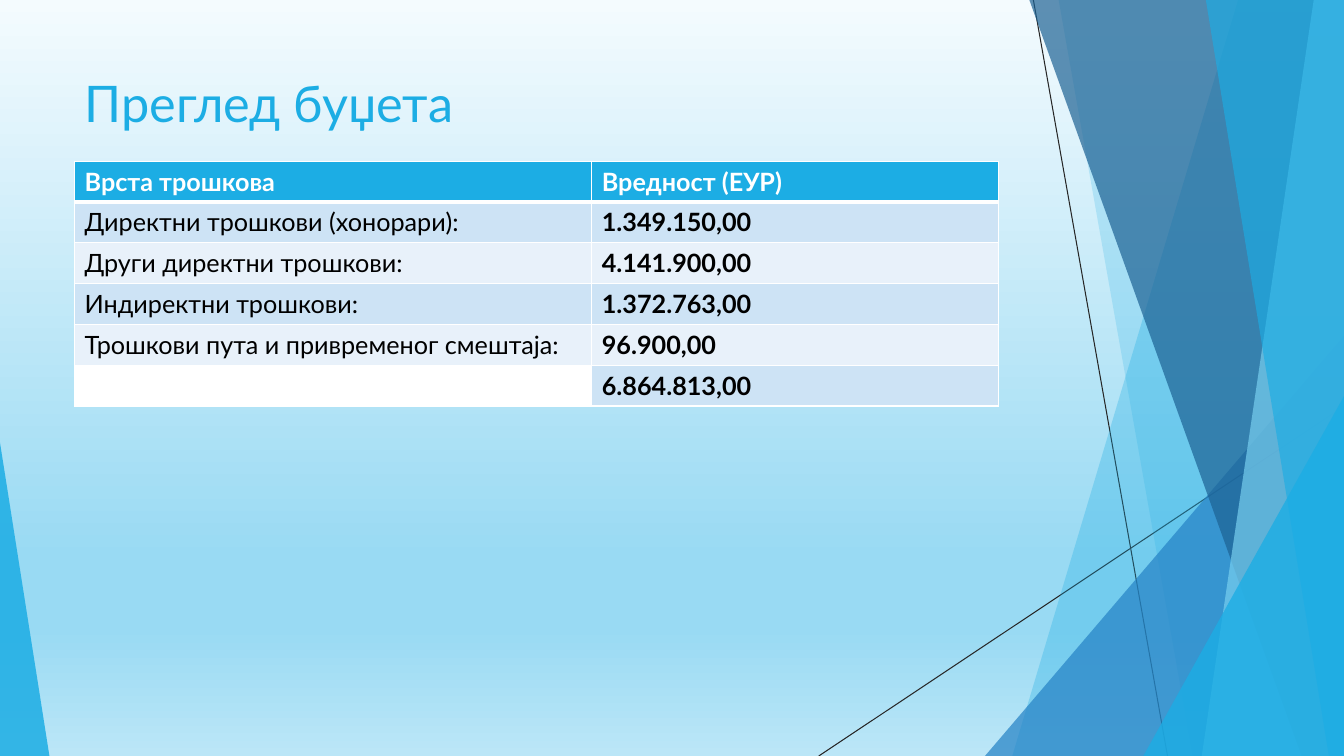
from dataclasses import dataclass

import lxml.etree
import pptx
import pptx.dml.color
import pptx.enum.shapes
import pptx.enum.text
import pptx.oxml.ns
import pptx.util

qn = pptx.oxml.ns.qn
SHAPE = pptx.enum.shapes.MSO_SHAPE


@dataclass(frozen=True)
class Theme:
    font: str = "Lato"
    title_size: int = 36
    table_size: int = 18
    accent: str = "1CADE4"
    blue: str = "2683C6"
    navy: str = "1D6294"
    pale: str = "77CEEF"
    thin: str = "262626"
    black: str = "000000"
    white: str = "FFFFFF"
    bands: tuple = ("CDE3F5", "E8F1FA")
    sky: tuple = ((0, "F4FBFE"), (74, "99DAF3"), (83, "99DAF3"), (100, "BBE6F7"))


@dataclass(frozen=True)
class Box:
    left: int
    top: int
    width: int
    height: int

    def point(self, x, y):
        return round(self.left + self.width * x / 100), round(self.top + self.height * y / 100)

    def area(self, x, y, width, height):
        left, top = self.point(x, y)
        right, bottom = self.point(x + width, y + height)
        return Box(left, top, right - left, bottom - top)

    def frame(self):
        return self.left, self.top, self.width, self.height


THEME = Theme()
HEADER = ("Врста трошкова", "Вредност (ЕУР)")
COSTS = (
    ("Директни трошкови (хонорари):", "1.349.150,00"),
    ("Други директни трошкови:", "4.141.900,00"),
    ("Индиректни трошкови:", "1.372.763,00"),
    ("Трошкови пута и привременог смештаја:", "96.900,00"),
    ("", "6.864.813,00"),
)


def rgb(color):
    return pptx.dml.color.RGBColor.from_string(color)


def set_font(p, size, color, bold=False):
    p.font.name = THEME.font
    p.font.size = pptx.util.Pt(size)
    p.font.bold = bold
    p.font.color.rgb = rgb(color)


def paint(shape, color, opacity):
    shape.shadow.inherit = False
    shape.fill.solid()
    shape.fill.fore_color.rgb = rgb(color)
    shape.line.fill.background()
    srgb = shape.fill._xPr.find(qn("a:solidFill"))[0]
    lxml.etree.SubElement(srgb, qn("a:alpha"), val=str(opacity * 1000))


def add_background(s):
    fill = s.background.fill
    fill.gradient()
    fill.gradient_angle = 270
    stops = fill._xPr.find(qn("a:gradFill")).find(qn("a:gsLst"))
    for stop in list(stops):
        stops.remove(stop)
    for position, color in THEME.sky:
        stop = lxml.etree.SubElement(stops, qn("a:gs"), pos=str(position * 1000))
        lxml.etree.SubElement(stop, qn("a:srgbClr"), val=color)


def add_thin_line(s, box, start, end):
    line = s.shapes.add_connector(
        pptx.enum.shapes.MSO_CONNECTOR.STRAIGHT, *box.point(*start), *box.point(*end)
    )
    line.line.color.rgb = rgb(THEME.thin)
    line.line.width = pptx.util.Pt(0.75)
    lxml.etree.SubElement(line._element.spPr, qn("a:effectLst"))


def add_panel(s, box, top_x, bottom_x, color, opacity):
    builder = s.shapes.build_freeform(*box.point(top_x, 0))
    corners = ((100, 0), (100, 100), (bottom_x, 100))
    builder.add_line_segments([box.point(*corner) for corner in corners])
    paint(builder.convert_to_shape(), color, opacity)


def add_corner(s, box, x, y, width, apex, color, opacity):
    corner = box.area(x, y, width, 100 - y)
    triangle = s.shapes.add_shape(SHAPE.ISOSCELES_TRIANGLE, *corner.frame())
    triangle.adjustments[0] = apex
    paint(triangle, color, opacity)


def add_facets(s, box):
    add_thin_line(s, box, (76.89, 0), (86.87, 100))
    add_thin_line(s, box, (100, 53.73), (60.92, 100))
    add_panel(s, box, 92.12, 75.32, THEME.accent, 30)
    add_panel(s, box, 78.77, 88.75, THEME.accent, 20)
    add_corner(s, box, 73.29, 44.4, 26.71, 1, THEME.blue, 72)
    add_panel(s, box, 76.59, 96.85, THEME.navy, 70)
    add_panel(s, box, 97.75, 89.42, THEME.pale, 70)
    add_panel(s, box, 89.72, 98.87, THEME.accent, 65)
    add_corner(s, box, 85.07, 52.4, 14.93, 1, THEME.accent, 80)
    add_corner(s, box, 0, 58.53, 3.68, 0, THEME.accent, 85)


def add_title(s, box, text):
    title = s.shapes.title
    s.shapes._spTree.append(title._element)
    title.left, title.top, title.width, title.height = box.frame()
    tf = title.text_frame
    tf.text = text
    tf.word_wrap = True
    tf.auto_size = pptx.enum.text.MSO_AUTO_SIZE.NONE
    tf.vertical_anchor = pptx.enum.text.MSO_ANCHOR.TOP
    p = tf.paragraphs[0]
    p.alignment = pptx.enum.text.PP_ALIGN.LEFT
    set_font(p, THEME.title_size, THEME.accent)


def set_borders(cell, widths):
    tcPr = cell._tc.get_or_add_tcPr()
    for index, (side, width) in enumerate(widths.items()):
        line = lxml.etree.Element(qn(f"a:ln{side}"), w=str(pptx.util.Pt(width)))
        fill = lxml.etree.SubElement(line, qn("a:solidFill"))
        lxml.etree.SubElement(fill, qn("a:srgbClr"), val=THEME.white)
        tcPr.insert(index, line)


def add_budget_table(s, box, header, costs):
    rows = (header, *costs)
    table = s.shapes.add_table(len(rows), len(header), *box.frame()).table
    for column, share in zip(table.columns, (0.56, 0.44)):
        column.width = round(box.width * share)
    for i, row in enumerate(rows):
        table.rows[i].height = round(box.height / len(rows))
        for j, text in enumerate(row):
            cell = table.cell(i, j)
            cell.text = text
            color = THEME.white if i == 0 else THEME.black
            set_font(cell.text_frame.paragraphs[0], THEME.table_size, color, i == 0 or j == 1)
            band = THEME.accent if i == 0 else THEME.bands[(i - 1) % 2]
            cell.fill.solid()
            cell.fill.fore_color.rgb = rgb(band if text else THEME.white)
            set_borders(cell, {"L": 1, "R": 1, "T": 3 if i == 1 else 1, "B": 3 if i == 0 else 1})


def add_budget_slide(prs, box):
    s = prs.slides.add_slide(prs.slide_layouts[5])
    add_background(s)
    add_facets(s, box)
    add_title(s, box.area(5.55, 8.93, 70.52, 19.2), "Преглед буџета")
    add_budget_table(s, box.area(5.55, 21.33, 68.72, 32.4), HEADER, COSTS)


def main():
    prs = pptx.Presentation()
    prs.slide_width = pptx.util.Inches(13.33)
    prs.slide_height = pptx.util.Inches(7.5)
    add_budget_slide(prs, Box(0, 0, prs.slide_width, prs.slide_height))
    prs.save("out.pptx")


if __name__ == "__main__":
    main()
